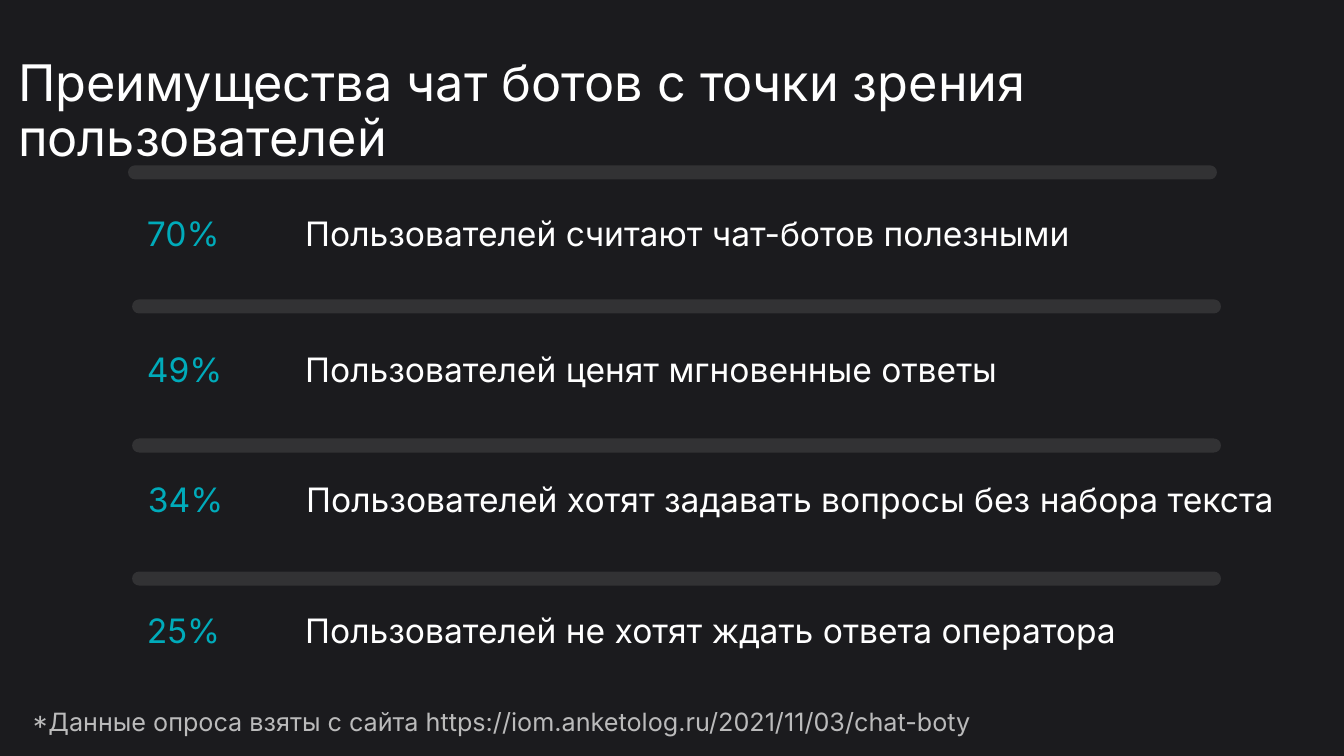
from lxml import etree
from pptx import Presentation
from pptx import util as u
from pptx.dml import color
from pptx.enum import shapes, text
from pptx.oxml import ns


def set_color(fill, hex_value, opacity=100):
    fill.solid()
    fill.fore_color.rgb = color.RGBColor.from_string(hex_value)
    if opacity < 100:
        rgb = fill._xPr.find(ns.qn("a:solidFill")).find(ns.qn("a:srgbClr"))
        etree.SubElement(rgb, ns.qn("a:alpha"), val=str(opacity * 1000))


def add_run(paragraph, words, size, hex_value, opacity=100):
    run = paragraph.add_run()
    run.text = words
    run.font.name = "Inter"
    run.font.size = u.Pt(size)
    set_color(run.font.fill, hex_value, opacity)


presentation = Presentation()
presentation.slide_width = u.Inches(13.33)
presentation.slide_height = u.Inches(7.5)
slide = presentation.slides.add_slide(presentation.slide_layouts[5])
set_color(slide.background.fill, "1B1B1E")

title = slide.shapes.title
title.left, title.top = u.Inches(0.18), u.Inches(0.58)
title.width, title.height = u.Inches(13.15), u.Inches(1.12)
frame = title.text_frame
frame.margin_left = frame.margin_top = frame.margin_right = frame.margin_bottom = 0
frame.word_wrap = True
frame.auto_size = text.MSO_AUTO_SIZE.NONE
frame.vertical_anchor = text.MSO_ANCHOR.TOP
paragraph = frame.paragraphs[0]
paragraph.alignment = text.PP_ALIGN.LEFT
paragraph.line_spacing = 0.9
add_run(paragraph, "Преимущества чат ботов с точки зрения пользователей", 36, "FFFFFF")

survey_rows = [
    ("70%", "Пользователей считают чат-ботов полезными", 1.34, 1.71, 1.33, 1.9, 10.66),
    ("49%", "Пользователей ценят мгновенные ответы", 1.38, 3.04, 1.33, 3.25, 10.66),
    ("34%", "Пользователей хотят задавать вопросы без набора текста", 1.38, 4.42, 1.34, 4.54, 11.68),
    ("25%", "Пользователей не хотят ждать ответа оператора", 1.38, 5.74, 1.33, 5.84, 10.66),
]
for share, opinion, bar_left, bar_top, left, top, width in survey_rows:
    bar = slide.shapes.add_connector(
        shapes.MSO_CONNECTOR.STRAIGHT,
        u.Inches(bar_left), u.Inches(bar_top), u.Inches(bar_left + 10.66), u.Inches(bar_top))
    bar.line.width = u.Pt(10)
    set_color(bar.line.fill, "FFFFFF", 10)
    bar.line._get_or_add_ln().set("cap", "rnd")
    etree.SubElement(bar._element.spPr, ns.qn("a:effectLst"))

    row = slide.shapes.add_shape(
        shapes.MSO_SHAPE.ROUNDED_RECTANGLE,
        u.Inches(left), u.Inches(top), u.Inches(width), u.Inches(0.54))
    row.adjustments[0] = 0.18
    row.shadow.inherit = False
    set_color(row.fill, "1B1B1E")
    row.line.fill.background()
    frame = row.text_frame
    frame.margin_left = frame.margin_top = u.Inches(0.1)
    frame.margin_right = frame.margin_bottom = 0
    frame.word_wrap = True
    frame.vertical_anchor = text.MSO_ANCHOR.TOP
    paragraph = frame.paragraphs[0]
    paragraph.alignment = text.PP_ALIGN.LEFT
    paragraph.line_spacing = 1.2
    tabs = etree.SubElement(paragraph._p.get_or_add_pPr(), ns.qn("a:tabLst"))
    etree.SubElement(tabs, ns.qn("a:tab"), pos=str(u.Inches(1.57)), algn="l")
    add_run(paragraph, share + "\t", 24, "00ABBA")
    add_run(paragraph, opinion, 24, "FFFFFF")

footnote = slide.shapes.add_textbox(u.Inches(0.32), u.Inches(6.95), u.Inches(11.4), u.Inches(0.34))
frame = footnote.text_frame
frame.margin_left = frame.margin_top = frame.margin_right = frame.margin_bottom = 0
frame.word_wrap = True
paragraph = frame.paragraphs[0]
paragraph.line_spacing = 1.2
add_run(paragraph, "*Данные опроса взяты с сайта https://iom.anketolog.ru/2021/11/03/chat-boty", 18, "FFFFFF", 70)

presentation.save("out.pptx")
